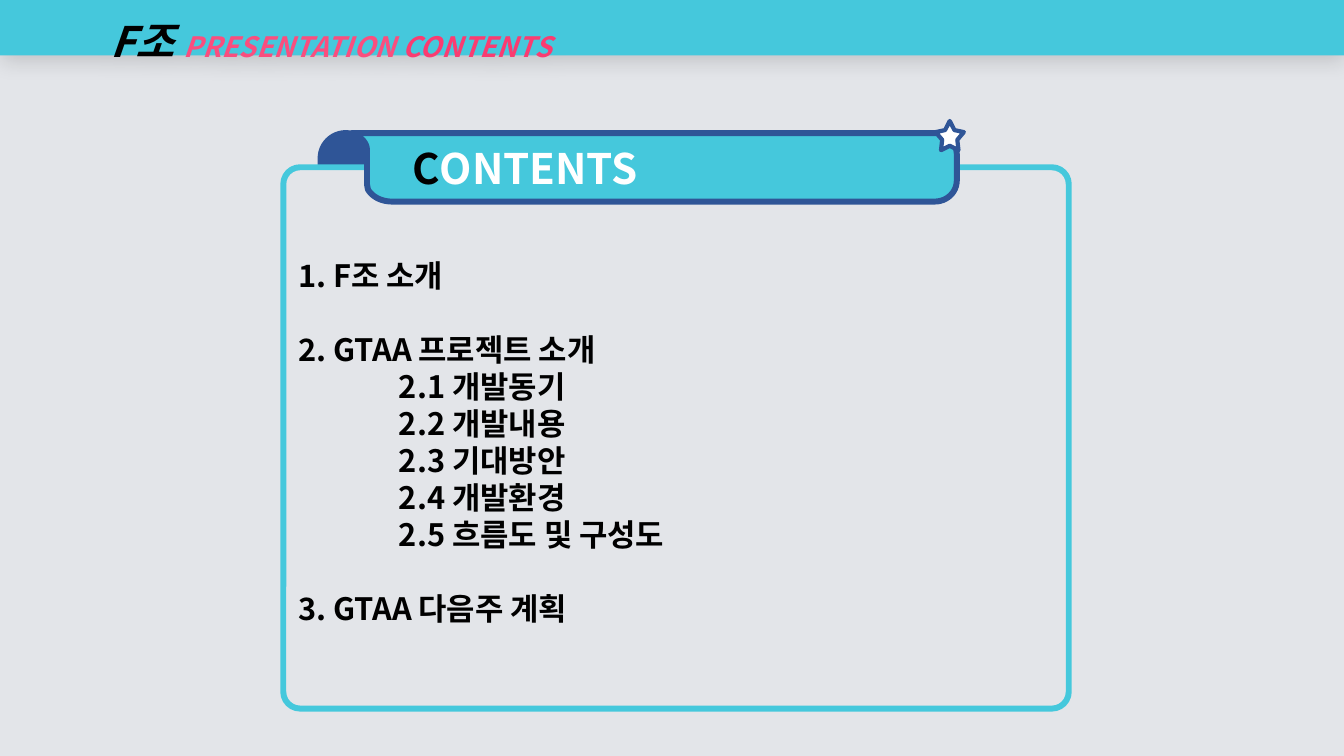
from lxml import etree
from pptx import Presentation
from pptx.dml.color import RGBColor
from pptx.enum.shapes import MSO_SHAPE
from pptx.enum.text import MSO_ANCHOR, PP_ALIGN
from pptx.oxml.ns import qn
from pptx.util import Inches, Pt

RECT = MSO_SHAPE.RECTANGLE
ROUNDED = MSO_SHAPE.ROUNDED_RECTANGLE
TAB = MSO_SHAPE.ROUND_2_SAME_RECTANGLE
STAR = MSO_SHAPE.STAR_5_POINT
MIDDLE, TOP = MSO_ANCHOR.MIDDLE, MSO_ANCHOR.TOP
LEFT = PP_ALIGN.LEFT

FONT = "Noto Sans CJK KR"
GREY, CYAN, NAVY = "E3E5E9", "45C8DC", "2F5597"
BLACK, WHITE = "000000", "FFFFFF"
LINE_PITCH = 26.4

HEADER = [("F조 ", 30, BLACK), ("PRESENTATION ", 20, "FA4E7E"),
          ("CONTENTS", 20, "FA3C71")]
BANNER = [("C", 30, BLACK), ("ONTENTS", 30, WHITE)]
AGENDA = [
    ("1. F조 소개", []),
    ("2. GTAA 프로젝트 소개", ["2.1 개발동기", "2.2 개발내용", "2.3 기대방안",
                         "2.4 개발환경", "2.5 흐름도 및 구성도"]),
    ("3. GTAA 다음주 계획", []),
]
# Two numbers are a corner; six are a Bezier curve (two handles, then the end).
BANNER_OUTLINE = [
    (3.49, 1.32), (9.27, 1.32), (9.39, 1.32, 9.49, 1.42, 9.49, 1.53),
    (9.49, 1.79), (9.49, 1.91, 9.39, 2, 9.27, 2),
    (3.89, 2), (3.78, 2, 3.69, 1.95, 3.65, 1.88), (3.64, 1.83),
    (3.64, 1.49), (3.64, 1.43, 3.6, 1.37, 3.53, 1.35), (3.49, 1.34),
]


def color(hex_code):
    return RGBColor.from_string(hex_code)


def style(shape, fill, line=None, width=4.25):
    shape.shadow.inherit = False
    shape.fill.solid()
    shape.fill.fore_color.rgb = color(fill)
    if line:
        shape.line.color.rgb = color(line)
        shape.line.width = Pt(width)
    else:
        shape.line.fill.background()
    return shape


def add_box(page, kind, place, fill, line=None, width=4.25):
    shape = page.shapes.add_shape(kind, *[Inches(n) for n in place])
    return style(shape, fill, line, width)


def flatten(outline, steps=12):
    """Turn corners and Bezier curves into one list of points."""
    points = []
    for part in outline:
        if len(part) == 2:
            points.append(part)
            continue
        x0, y0 = points[-1]
        x1, y1, x2, y2, x3, y3 = part
        for step in range(1, steps + 1):
            t = step / steps
            a, b, c, d = (1 - t) ** 3, 3 * t * (1 - t) ** 2, 3 * t * t * (1 - t), t ** 3
            points.append((a * x0 + b * x1 + c * x2 + d * x3,
                           a * y0 + b * y1 + c * y2 + d * y3))
    return points


def add_outline(page, outline, fill, line):
    points = [(Inches(x), Inches(y)) for x, y in flatten(outline)]
    builder = page.shapes.build_freeform(*points[0])
    builder.add_line_segments(points[1:], close=True)
    return style(builder.convert_to_shape(), fill, line)


def set_frame(shape, anchor):
    frame = shape.text_frame
    frame.word_wrap = True
    frame.vertical_anchor = anchor
    return frame


def write(para, runs, margin=0, italic=False):
    para.alignment = LEFT
    para._p.get_or_add_pPr().set("marL", str(Inches(margin)))
    for text, size, hex_code in runs:
        span = para.add_run()
        span.text = text
        font = span.font
        font.size, font.bold = Pt(size), True
        if italic:
            font.italic = True
        font.color.rgb = color(hex_code)
        font.name = FONT
        etree.SubElement(font._element, qn("a:ea"), typeface=FONT)


def add_shadow(shape, blur, distance, opacity):
    effects = shape._element.spPr.find(qn("a:effectLst"))
    shadow = etree.SubElement(effects, qn("a:outerShdw"), blurRad=str(Pt(blur)),
                              dist=str(Pt(distance)), dir="5400000",
                              algn="t", rotWithShape="0")
    tint = etree.SubElement(shadow, qn("a:srgbClr"), val=BLACK)
    etree.SubElement(tint, qn("a:alpha"), val=str(opacity * 1000))


def add_agenda(panel):
    frame = set_frame(panel, TOP)
    frame.margin_top = Inches(0.84)
    lines = []
    for title, topics in AGENDA:
        lines.append((title, 0, LINE_PITCH if lines else 0))
        lines += [(topic, 1, 0) for topic in topics]
    for index, (text, margin, gap) in enumerate(lines):
        para = frame.add_paragraph() if index else frame.paragraphs[0]
        para.line_spacing = Pt(LINE_PITCH)
        para.space_before = Pt(gap)
        write(para, [(text, 22, BLACK)], margin)


def main():
    deck = Presentation()
    deck.slide_width, deck.slide_height = Inches(13.33), Inches(7.5)
    page = deck.slides.add_slide(deck.slide_layouts[6])
    page.background.fill.solid()
    page.background.fill.fore_color.rgb = color(GREY)

    tab = add_box(page, TAB, (3.18, 1.32, 0.5, 0.98), NAVY, NAVY)
    tab.adjustments[0] = 0.5
    panel = add_box(page, ROUNDED, (2.81, 1.66, 7.79, 5.37), GREY, CYAN)
    panel.adjustments[0] = 0.031
    add_agenda(panel)

    banner = add_outline(page, BANNER_OUTLINE, CYAN, NAVY)
    write(set_frame(banner, MIDDLE).paragraphs[0], BANNER, 0.5)
    star = add_box(page, STAR, (9.28, 1.2, 0.28, 0.29), WHITE, NAVY, 3)
    star.adjustments[0] = 0.269

    header = add_box(page, RECT, (0, 0, 13.33, 0.55), CYAN)
    add_shadow(header, blur=15, distance=3, opacity=15)
    title = set_frame(header, MIDDLE).paragraphs[0]
    title.line_spacing = 1.5
    write(title, HEADER, 1, italic=True)
    deck.save("out.pptx")


if __name__ == "__main__":
    main()
